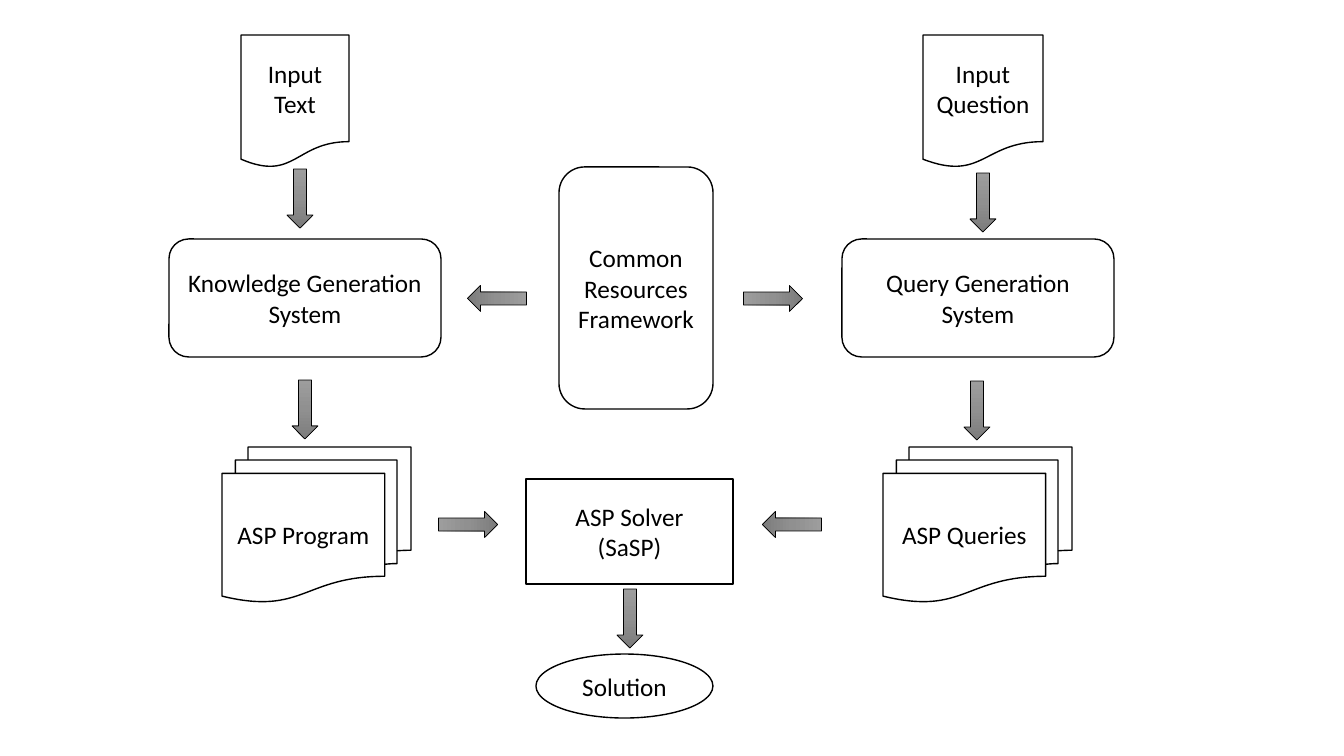
import copy

import pptx
import pptx.dml.color
import pptx.enum.shapes
import pptx.enum.text
import pptx.util

SHAPE = pptx.enum.shapes.MSO_SHAPE
PX = 914400 / 100.8
COLORS = {"ink": "000000", "paper": "FFFFFF",
          "light": "9D9D9D", "middle": "909090", "dark": "7C7C7C"}


class Diagram:
    """Draws flow diagram elements in one style on the current slide."""

    font = "Calibri"
    text_size = 18
    arrow_width, arrow_length = 26, 59

    def __init__(self, slide):
        self.slide = slide

    def color(self, name):
        return pptx.dml.color.RGBColor.from_string(COLORS[name])

    def outline(self, kind, box, line_width):
        shape = self.slide.shapes.add_shape(kind, *(round(v * PX) for v in box))
        shape.shadow.inherit = False
        shape.line.color.rgb = self.color("ink")
        shape.line.width = pptx.util.Pt(line_width)
        return shape

    def node(self, kind, box, *lines):
        node = self.outline(kind, box, 1)
        node.fill.solid()
        node.fill.fore_color.rgb = self.color("paper")
        frame = node.text_frame
        frame.word_wrap = True
        frame.vertical_anchor = pptx.enum.text.MSO_ANCHOR.MIDDLE
        for index, line in enumerate(lines):
            paragraph = frame.add_paragraph() if index else frame.paragraphs[0]
            paragraph.alignment = pptx.enum.text.PP_ALIGN.CENTER
            run = paragraph.add_run()
            run.text = line
            run.font.name = self.font
            run.font.size = pptx.util.Pt(self.text_size)
            run.font.color.rgb = self.color("ink")

    def arrow(self, center_x, center_y, rotation=0):
        width, length = self.arrow_width, self.arrow_length
        box = center_x - width // 2, center_y - length // 2, width, length
        arrow = self.outline(SHAPE.DOWN_ARROW, box, 0.5)
        arrow.rotation = rotation
        arrow.fill.gradient()
        arrow.fill.gradient_angle = 270
        first_stop = arrow._element.spPr.find(".//" + pptx.oxml.ns.qn("a:gs"))
        first_stop.addnext(copy.deepcopy(first_stop))
        shades = zip(arrow.fill.gradient_stops, ("light", "middle", "dark"), (0, 0.5, 1))
        for stop, shade, position in shades:
            stop.color.rgb = self.color(shade)
            stop.position = position


def main():
    deck = pptx.Presentation()
    deck.slide_width, deck.slide_height = round(1344 * PX), round(756 * PX)
    diagram = Diagram(deck.slides.add_slide(deck.slide_layouts[6]))

    for kind, box, *lines in (
        (SHAPE.ROUNDED_RECTANGLE, (169, 239, 272, 118), "Knowledge Generation System"),
        (SHAPE.ROUNDED_RECTANGLE, (842, 239, 272, 118), "Query Generation System"),
        (SHAPE.ROUNDED_RECTANGLE, (559, 167, 154, 242), "Common Resources Framework"),
        (SHAPE.FLOWCHART_DOCUMENT, (241, 35, 108, 133), "Input", "Text"),
        (SHAPE.FLOWCHART_DOCUMENT, (923, 35, 120, 133), "Input Question"),
        (SHAPE.FLOWCHART_MULTIDOCUMENT, (222, 447, 189, 155), "ASP Program"),
        (SHAPE.FLOWCHART_MULTIDOCUMENT, (883, 447, 189, 155), "ASP Queries"),
        (SHAPE.RECTANGLE, (526, 479, 207, 105), "ASP Solver", "(SaSP)"),
        (SHAPE.OVAL, (536, 654, 177, 64), "Solution"),
    ):
        diagram.node(kind, box, *lines)

    for down in ((300, 198), (305, 409), (977, 410), (983, 202), (630, 618)):
        diagram.arrow(*down)
    for left in ((497, 298), (792, 524)):
        diagram.arrow(*left, rotation=90)
    for right in ((773, 298), (468, 524)):
        diagram.arrow(*right, rotation=270)

    deck.save("out.pptx")


if __name__ == "__main__":
    main()
